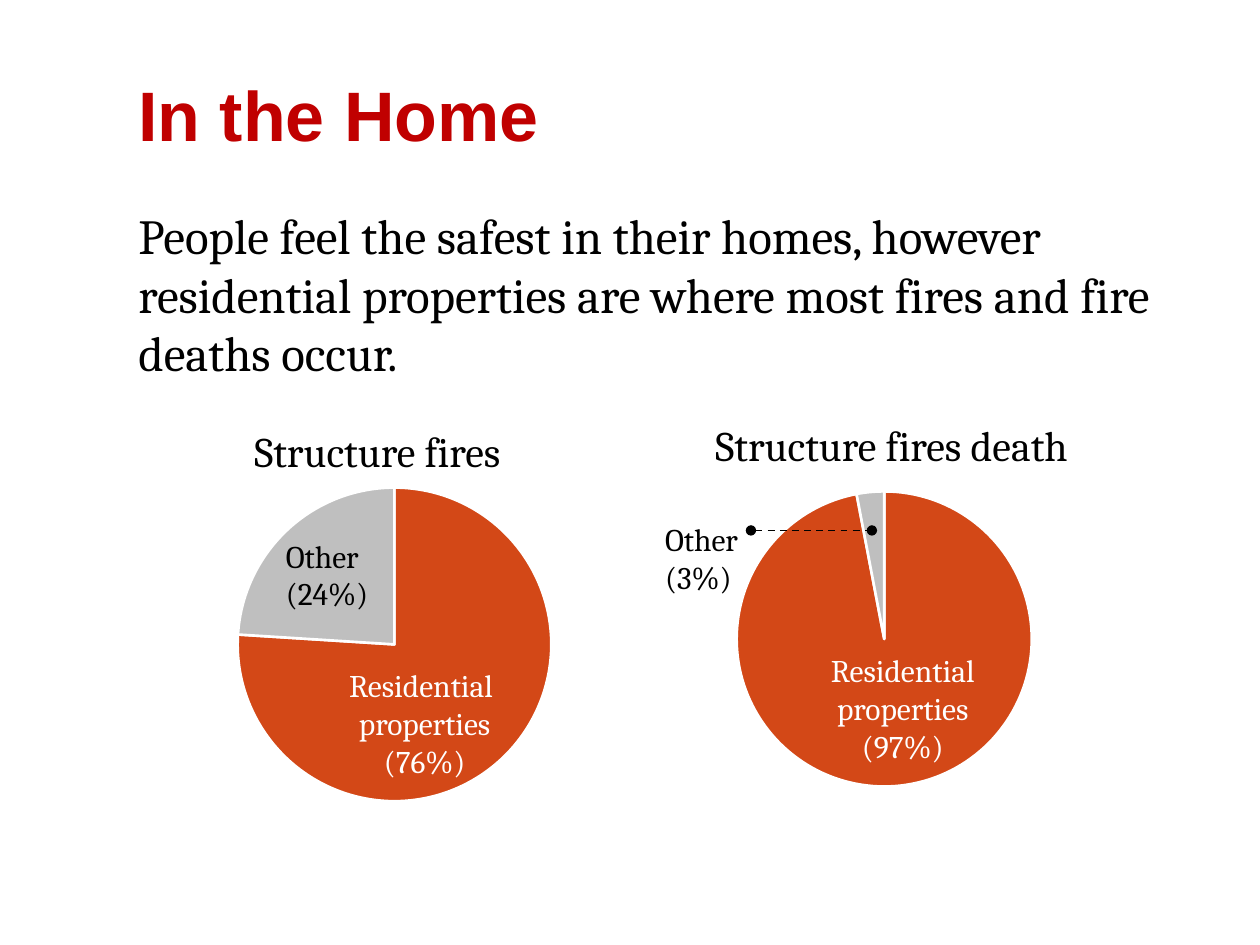
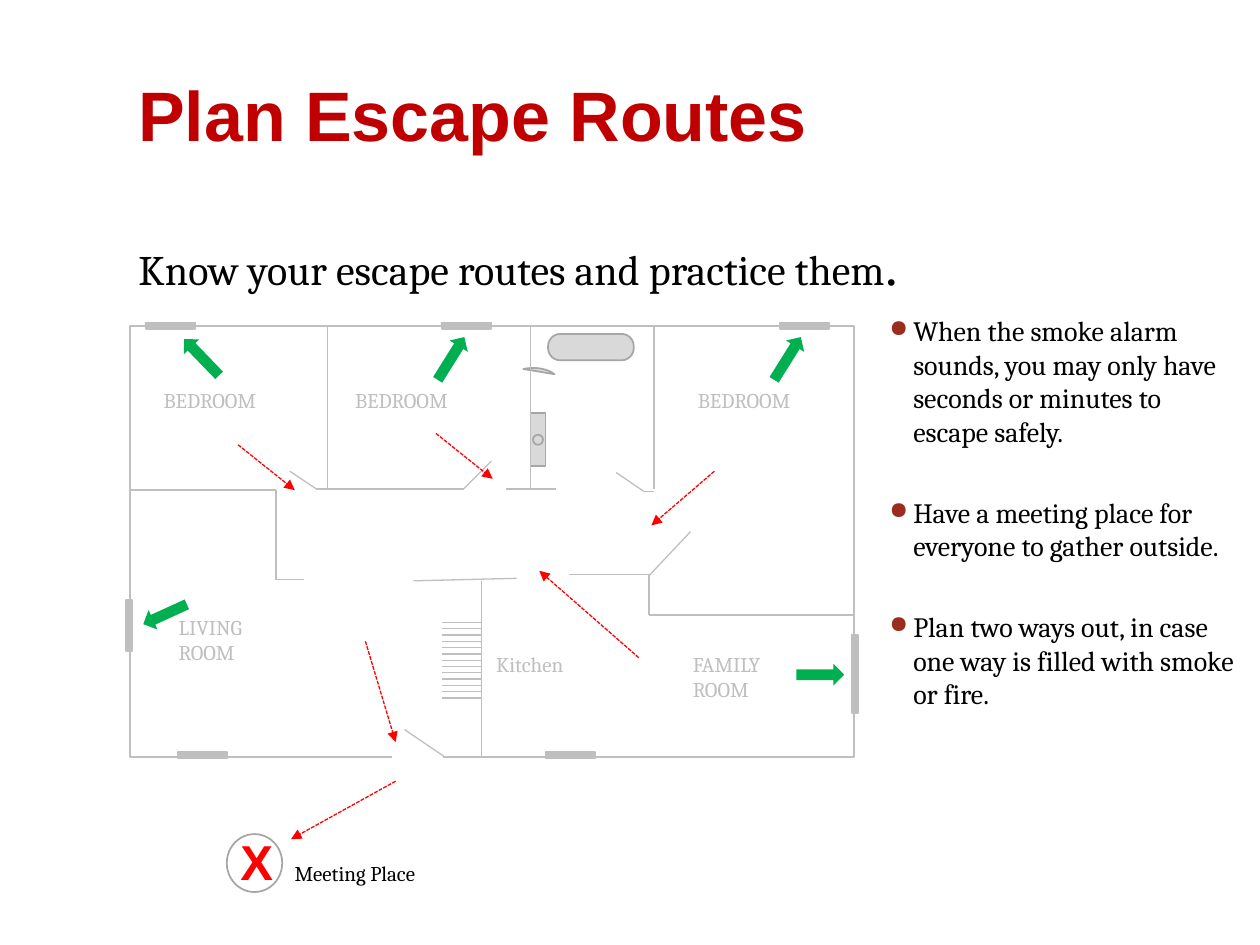
from lxml import etree
from pptx import Presentation
from pptx.chart.data import CategoryChartData
from pptx.dml.color import RGBColor
from pptx.enum.chart import XL_CHART_TYPE
from pptx.enum.dml import MSO_LINE as DASH
from pptx.enum.shapes import MSO_CONNECTOR, MSO_SHAPE as SHAPE
from pptx.enum.text import MSO_ANCHOR, PP_ALIGN
from pptx.oxml import parse_xml
from pptx.oxml.ns import nsdecls, qn
from pptx.util import Pt

PX = 9144  # 100 px to the inch
COLORS = {
    "title": "C00000", "text": "000000", "white": "FFFFFF", "residential": "D34817",
    "wall": "BFBFBF", "fixture": "D9D9D9", "fixture_edge": "A6A6A6",
    "bullet": "9B2D1F", "exit": "00B050", "route": "FF0000",
}
RGB = {name: RGBColor.from_string(value) for name, value in COLORS.items()}
TITLE_BOX = (100, 30, 850, 125)


def add_text(slide, box, text, size, color="text", font="Cambria", bold=False,
             align=PP_ALIGN.LEFT, wrap=True, bullet=False):
    """Add a text box; a newline starts a paragraph, a vertical tab breaks a line."""
    frame = slide.shapes.add_textbox(*[n * PX for n in box]).text_frame
    frame.word_wrap = wrap
    frame.text = text
    for i, paragraph in enumerate(frame.paragraphs):
        paragraph.alignment = align
        if bullet:
            props = paragraph._p.get_or_add_pPr()
            props.set("marL", str(20 * PX))
            props.set("indent", str(-19 * PX))
            tint = etree.SubElement(props, qn("a:buClr"))
            etree.SubElement(tint, qn("a:srgbClr"), val=COLORS["bullet"])
            etree.SubElement(props, qn("a:buSzPct"), val="85000")
            etree.SubElement(props, qn("a:buChar"), char="●")
            if i:
                paragraph.space_before = Pt(27)
        paragraph.font.name = font
        paragraph.font.size = Pt(size)
        paragraph.font.bold = bold
        paragraph.font.color.rgb = RGB[color]
    return frame


def add_line(slide, points, color, width=0.75, dash=None, head=None, tail=None):
    line = slide.shapes.add_connector(MSO_CONNECTOR.STRAIGHT, *[n * PX for n in points])
    line.line.color.rgb = RGB[color]
    line.line.width = Pt(width)
    if dash:
        line.line.dash_style = dash
    outline = line.line._get_or_add_ln()
    for tag, kind in (("a:headEnd", head), ("a:tailEnd", tail)):
        if kind:
            etree.SubElement(outline, qn(tag), type=kind)
    etree.SubElement(line._element.spPr, qn("a:effectLst"))


prs = Presentation()
prs.slide_width, prs.slide_height = 1000 * PX, 750 * PX
home, escape = [prs.slides.add_slide(prs.slide_layouts[6]) for _ in range(2)]
for slide, heading in ((home, "In the Home"), (escape, "Plan Escape Routes")):
    title = add_text(slide, TITLE_BOX, heading, 40, "title", "Arial", bold=True)
    title.vertical_anchor = MSO_ANCHOR.MIDDLE
    title.margin_bottom = 10 * PX

# In the Home
add_text(home, (100, 158, 875, 175),
         "People feel the safest in their homes, however residential properties "
         "are where most fires and fire deaths occur.", 28)

# chart box, pie diameter, shares
for box, diameter, shares in (
    ((100, 373, 422, 277), 248, (76, 24)),
    ((483, 376, 442, 265), 236, (97, 3)),
):
    data = CategoryChartData()
    data.categories = ["1", "2"]
    data.add_series("Series 1", shares)
    chart = home.shapes.add_chart(XL_CHART_TYPE.PIE, *[n * PX for n in box], data).chart
    chart.has_legend = chart.has_title = False
    chart.font.name = "Times New Roman"
    chart.font.size = Pt(10)
    chart.font.color.rgb = RGB["text"]
    pie = chart.plots[0]
    pie.vary_by_categories = False
    for i, color in enumerate(("residential", "wall")):
        part = pie.series[0].points[i].format
        part.fill.solid()
        part.fill.fore_color.rgb = RGB[color]
        part.line.color.rgb = RGB["white"]
        part.line.width = Pt(1.5)
    w, h = diameter / box[2], diameter / box[3]
    place = {"x": (1 - w) / 2, "y": (1 - h) / 2, "w": w, "h": h}
    area = chart._chartSpace.chart.plotArea
    for old in area.findall(qn("c:layout")):
        area.remove(old)
    area.insert(0, parse_xml(
        f'<c:layout {nsdecls("c")}><c:manualLayout><c:layoutTarget val="inner"/>'
        '<c:xMode val="edge"/><c:yMode val="edge"/>'
        + "".join(f'<c:{key} val="{value:.2f}"/>' for key, value in place.items())
        + "</c:manualLayout></c:layout>"))

for box, label, size, color, align in (
    ((192, 333, 242, 50), "Structure fires", 24, "text", PP_ALIGN.LEFT),
    ((558, 328, 323, 50), "Structure fires death", 24, "text", PP_ALIGN.LEFT),
    ((217, 421, 88, 71), "Other\n(24%)", 18, "text", PP_ALIGN.LEFT),
    ((261, 524, 152, 101), "Residential \vproperties\n(76%)", 18, "white", PP_ALIGN.CENTER),
    ((518, 408, 85, 71), "Other\v(3%)", 18, "text", PP_ALIGN.LEFT),
    ((644, 512, 145, 101), "Residential\vproperties\v(97%)", 18, "white", PP_ALIGN.CENTER),
):
    add_text(home, box, label, size, color, align=align, wrap=False)
add_line(home, (596, 421, 692, 421), "text", 1, DASH.DASH, "oval", "oval")

# Plan Escape Routes
add_text(escape, (695, 244, 295, 506),
         "When the smoke alarm sounds, you may only have seconds or minutes to escape safely.\n"
         "Have a meeting place for everyone to gather outside.\n"
         "Plan two ways out, in case one way is filled with smoke or fire.", 16, bullet=True)
advice = add_text(escape, (100, 177, 675, 94), "", 24).paragraphs[0]
for words, font, size in (("Know your escape routes and practice them", "Cambria", 24),
                          (".", "Times New Roman", 32)):
    run = advice.add_run()
    run.text = words
    run.font.name = font
    run.font.size = Pt(size)

# kind, box, fill, edge, rotation, adjustments
house = [(SHAPE.RECTANGLE, (103, 259, 575, 342), None, "wall", 0, ())]
windows = [(SHAPE.RECTANGLE, box, "wall", "wall", 0, ()) for box in (
    *[(x, 256, 39, 5) for x in (116, 351, 619)],
    *[(x, 597, 39, 5) for x in (141, 433)],
    (100, 476, 5, 41), (676, 504, 5, 62))]
front_door = [(SHAPE.RECTANGLE, (312, 600, 39, 5), "white", "white", 0, ())]
bathroom = [(kind, box, "fixture", "fixture_edge", turn, adjust)
            for kind, box, turn, adjust in (
    (SHAPE.ROUNDED_RECTANGLE, (435, 265, 68, 21), 0, (0.46,)),
    (SHAPE.ROUNDED_RECTANGLE, (421, 328, 12, 42), 0, (0,)),
    (SHAPE.OVAL, (423, 345, 8, 8), 0, ()),
    (SHAPE.CHORD, (403, 292, 40, 21), 180, (30.87, 97.2)))]
meeting_ring = [(SHAPE.OVAL, (180, 662, 44, 46), None, "fixture_edge", 0, ())]
window_exits = [(SHAPE.RIGHT_ARROW, (x, y, w, 17), "exit", None, turn, ())
                for x, y, w, turn in (
    (140, 275, 40, 226), (338, 276, 40, 302), (605, 276, 40, 302),
    (632, 527, 38, 0), (112, 479, 38, 155.5))]
for kind, box, fill, edge, turn, adjust in (
        house + windows + front_door + bathroom + meeting_ring + window_exits):
    item = escape.shapes.add_shape(kind, *[n * PX for n in box])
    item.shadow.inherit = False
    item.rotation = turn
    for i, value in enumerate(adjust):
        item.adjustments[i] = value
    if fill:
        item.fill.solid()
        item.fill.fore_color.rgb = RGB[fill]
    else:
        item.fill.background()
    if edge:
        item.line.color.rgb = RGB[edge]
        item.line.width = Pt(1)
    else:
        item.line.fill.background()

walls = [
    *[(x, 259, x, 388) for x in (260, 421, 519)],
    (382, 461, 382, 600), (219, 389, 103, 389), (678, 488, 515, 488),
    (219, 389, 219, 460), (241, 460, 219, 460), (368, 388, 251, 388),
    (441, 388, 402, 388), (519, 390, 511, 390), (515, 456, 515, 488),
    (410, 459, 328, 461), (515, 456, 452, 456),
]
open_doors = [(251, 388, 230, 374), (390, 366, 368, 388), (511, 390, 489, 375),
              (352, 600, 321, 579), (548, 422, 515, 457)]
stairs = [(382, y, 351, y) for y in range(494, 555, 5)]
for points in walls + open_doors + stairs:
    add_line(escape, points, "wall")

for points in ((189, 353, 234, 389), (290, 509, 314, 589), (507, 522, 428, 453),
               (346, 344, 391, 380), (567, 374, 517, 417), (314, 620, 231, 666)):
    add_line(escape, points, "route", dash=DASH.SQUARE_DOT, tail="triangle")

for x, y, room in ((120, 303, "BEDROOM"), (272, 303, "BEDROOM"), (544, 303, "BEDROOM"),
                   (384, 512, "Kitchen"), (540, 512, "FAMILY\vROOM"),
                   (132, 483, "LIVING\vROOM")):
    add_text(escape, (x, y, 113, 52 if "\v" in room else 31), room, 12, "wall")
add_text(escape, (181, 655, 43, 59), "X", 28, "route", "Arial", bold=True)
add_text(escape, (224, 678, 127, 31), "Meeting Place", 12)

prs.save("out.pptx")
